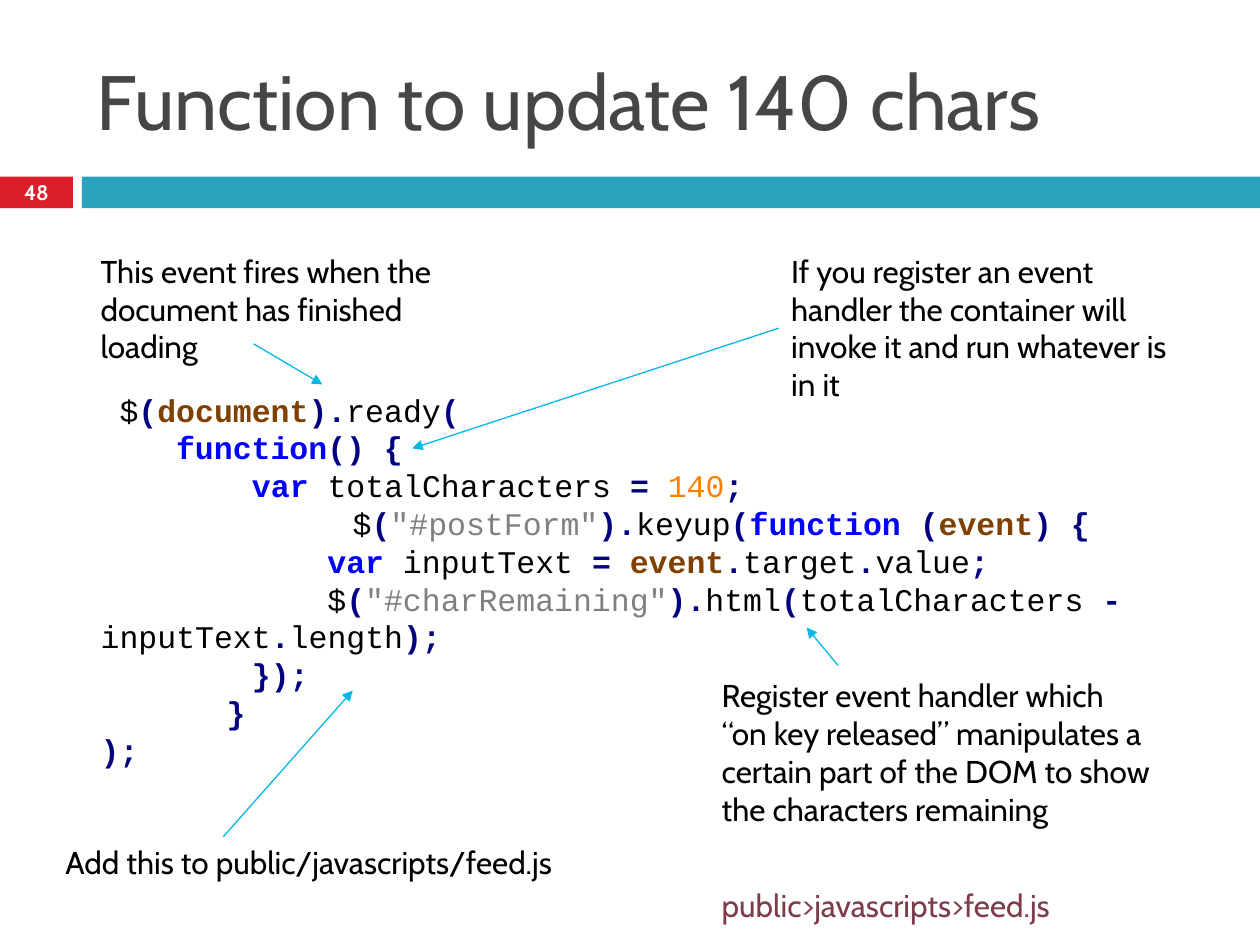
import pptx
import pptx.dml.color
import pptx.enum.shapes
import pptx.enum.text
import pptx.oxml
import pptx.oxml.ns
import pptx.util
from pptx.dml.color import RGBColor
from pptx.util import Cm

RED = RGBColor(0xDA, 0x1F, 0x28)
TEAL = RGBColor(0x2D, 0xA2, 0xBF)
SKY = RGBColor(0x08, 0xB8, 0xE4)
GRAPHITE = RGBColor(0x46, 0x46, 0x46)
MAROON = RGBColor(0x7D, 0x3C, 0x4A)
WHITE = RGBColor(0xFF, 0xFF, 0xFF)
BLACK = RGBColor(0x00, 0x00, 0x00)
NAVY = RGBColor(0x00, 0x00, 0x80)
BLUE = RGBColor(0x00, 0x00, 0xFF)
BROWN = RGBColor(0x80, 0x40, 0x00)
ORANGE = RGBColor(0xFF, 0x80, 0x00)
GREY = RGBColor(0x80, 0x80, 0x80)

PLAIN = (BLACK, False)
OPERATOR = (NAVY, True)
KEYWORD = (BLUE, True)
OBJECT = (BROWN, True)
NUMBER = (ORANGE, False)
STRING = (GREY, False)

CODE = [
    (0.38, [("$", PLAIN), ("(", OPERATOR), ("document", OBJECT), (").", OPERATOR),
            ("ready", PLAIN), ("(", OPERATOR)]),
    (1.52, [("function", KEYWORD), ("() {", OPERATOR)]),
    (3.05, [("var ", KEYWORD), ("totalCharacters ", PLAIN), ("= ", OPERATOR),
            ("140", NUMBER), (";", OPERATOR)]),
    (5.08, [("$", PLAIN), ("(", OPERATOR), ('"#postForm"', STRING), (").", OPERATOR),
            ("keyup", PLAIN), ("(", OPERATOR), ("function ", KEYWORD), ("(", OPERATOR),
            ("event", OBJECT), (") {", OPERATOR)]),
    (4.57, [("var ", KEYWORD), ("inputText ", PLAIN), ("= ", OPERATOR), ("event", OBJECT),
            (".", OPERATOR), ("target", PLAIN), (".", OPERATOR), ("value", PLAIN),
            (";", OPERATOR)]),
    (4.57, [("$", PLAIN), ("(", OPERATOR), ('"#charRemaining"', STRING), (").", OPERATOR),
            ("html", PLAIN), ("(", OPERATOR), ("totalCharacters ", PLAIN), ("- ", OPERATOR),
            ("inputText", PLAIN), (".", OPERATOR), ("length", PLAIN), (");", OPERATOR)]),
    (3.05, [("});", OPERATOR)]),
    (2.54, [("}", OPERATOR)]),
    (0, [(");", OPERATOR)]),
]


class SlideBuilder:
    text_font = "Cabin"
    code_font = "Courier New"
    text_size = 18

    def __init__(self, slide):
        self.slide = slide

    def style(self, run, color, size=text_size, bold=False, font=text_font):
        run.font.name = font
        run.font.size = pptx.util.Pt(size)
        run.font.bold = bold
        run.font.color.rgb = color

    def title(self, wording, left, top, width, height):
        heading = self.slide.shapes.title
        heading.left, heading.top = Cm(left), Cm(top)
        heading.width, heading.height = Cm(width), Cm(height)
        frame = heading.text_frame
        frame.text = wording
        frame.auto_size = pptx.enum.text.MSO_AUTO_SIZE.NONE
        frame.vertical_anchor = pptx.enum.text.MSO_ANCHOR.MIDDLE
        frame.paragraphs[0].alignment = pptx.enum.text.PP_ALIGN.LEFT
        self.style(frame.paragraphs[0].runs[0], GRAPHITE, size=44)

    def bar(self, color, left, top, width, height):
        band = self.slide.shapes.add_shape(
            pptx.enum.shapes.MSO_SHAPE.RECTANGLE, Cm(left), Cm(top), Cm(width), Cm(height))
        band.shadow.inherit = False
        band.fill.solid()
        band.fill.fore_color.rgb = color
        band.line.fill.background()

    def box(self, left, top, width, height):
        holder = self.slide.shapes.add_textbox(Cm(left), Cm(top), Cm(width), Cm(height))
        holder.text_frame.word_wrap = True
        return holder

    def note(self, wording, left, top, width, height, color=BLACK):
        holder = self.box(left, top, width, height)
        holder.text_frame.text = wording
        self.style(holder.text_frame.paragraphs[0].runs[0], color)
        return holder

    def page_number(self, number, left, top, width, height):
        frame = self.box(left, top, width, height).text_frame
        frame.text = number
        frame.vertical_anchor = pptx.enum.text.MSO_ANCHOR.MIDDLE
        frame.paragraphs[0].alignment = pptx.enum.text.PP_ALIGN.CENTER
        self.style(frame.paragraphs[0].runs[0], WHITE, size=12, bold=True)

    def code(self, lines, left, top, width, height):
        frame = self.box(left, top, width, height).text_frame
        for position, (indent, tokens) in enumerate(lines):
            line = frame.add_paragraph() if position else frame.paragraphs[0]
            line.line_spacing = pptx.util.Pt(21.6)
            properties = line._p.get_or_add_pPr()
            properties.set("marL", "0")
            properties.set("indent", str(int(Cm(indent))))
            for wording, (color, bold) in tokens:
                token = line.add_run()
                token.text = wording
                self.style(token, color, bold=bold, font=self.code_font)

    def arrow(self, start_x, start_y, end_x, end_y):
        pointer = self.slide.shapes.add_connector(
            pptx.enum.shapes.MSO_CONNECTOR.STRAIGHT,
            Cm(start_x), Cm(start_y), Cm(end_x), Cm(end_y))
        pointer.line.color.rgb = SKY
        pointer.line.width = pptx.util.Pt(0.75)
        head = pptx.oxml.parse_xml(
            f'<a:tailEnd {pptx.oxml.ns.nsdecls("a")} type="triangle"/>')
        pointer.line._get_or_add_ln().append(head)
        pointer._element.spPr.append(
            pptx.oxml.parse_xml(f'<a:effectLst {pptx.oxml.ns.nsdecls("a")}/>'))
        return pointer


def main():
    deck = pptx.Presentation()
    deck.slide_width, deck.slide_height = Cm(25.4), Cm(19.05)
    builder = SlideBuilder(deck.slides.add_slide(deck.slide_layouts[5]))

    builder.bar(RED, 0, 3.56, 1.47, 0.64)
    builder.bar(TEAL, 1.65, 3.56, 23.75, 0.64)
    builder.title("Function to update 140 chars", 1.7, 0.64, 22.66, 2.74)
    builder.page_number("48", 0, 3.53, 1.47, 0.69)
    builder.code(CODE, 1.78, 7.75, 23.14, 7.95)

    builder.note("Add this to public/javascripts/feed.js", 1.07, 16.87, 10.85, 1.02)
    builder.arrow(4.5, 16.87, 7.11, 13.92)
    builder.note("This event fires when the document has finished loading",
                 1.78, 4.95, 8.41, 1.8)
    builder.arrow(5.11, 6.93, 6.5, 7.75)
    handler_note = builder.note(
        "If you register an event handler the container will invoke it "
        "and run whatever is in it", 15.7, 4.95, 8.41, 3.33)
    builder.arrow(15.7, 6.62, 8.31, 9.04).begin_connect(handler_note, 1)
    builder.note(
        "Register event handler which “on key released” manipulates a certain "
        "part of the DOM to show the characters remaining", 14.3, 13.51, 9.19, 3.33)
    builder.arrow(16.89, 13.41, 16.26, 12.65)
    builder.note("public>javascripts>feed.js", 14.3, 17.73, 8, 1.02, MAROON)

    deck.save("out.pptx")


if __name__ == "__main__":
    main()
